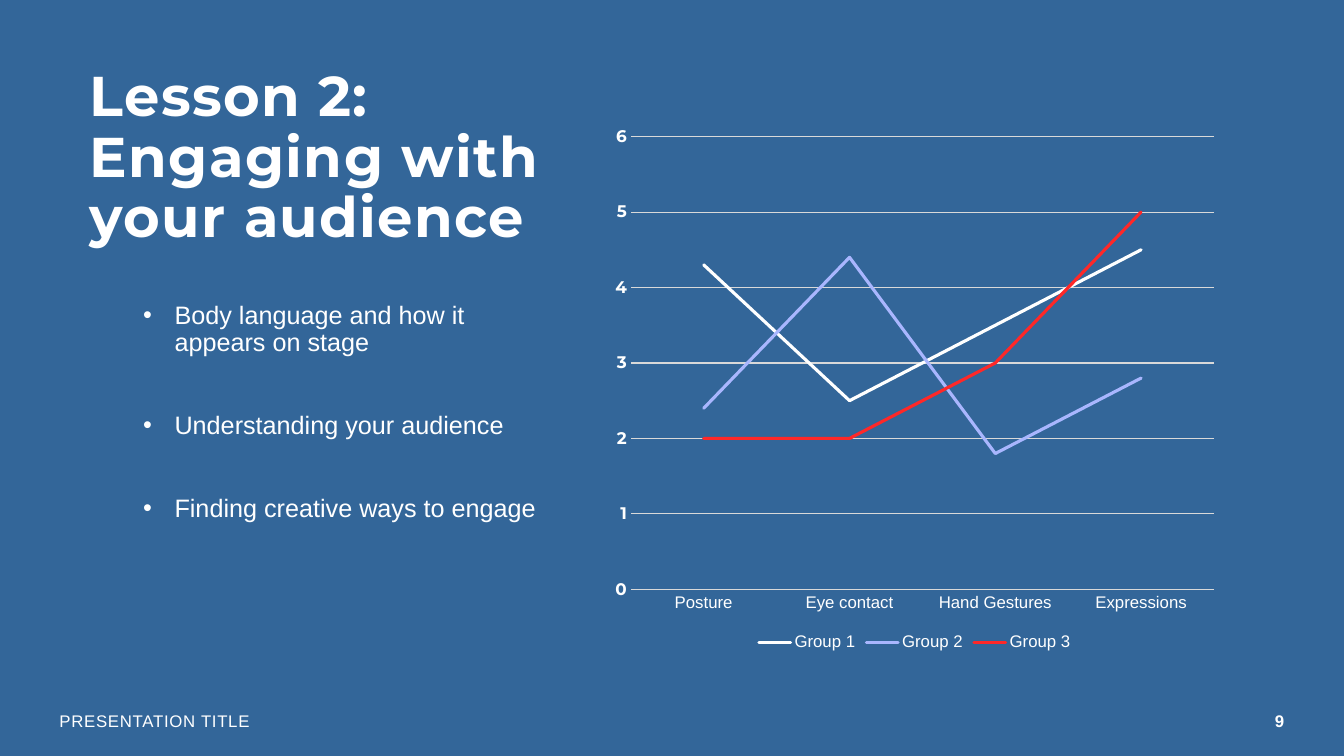
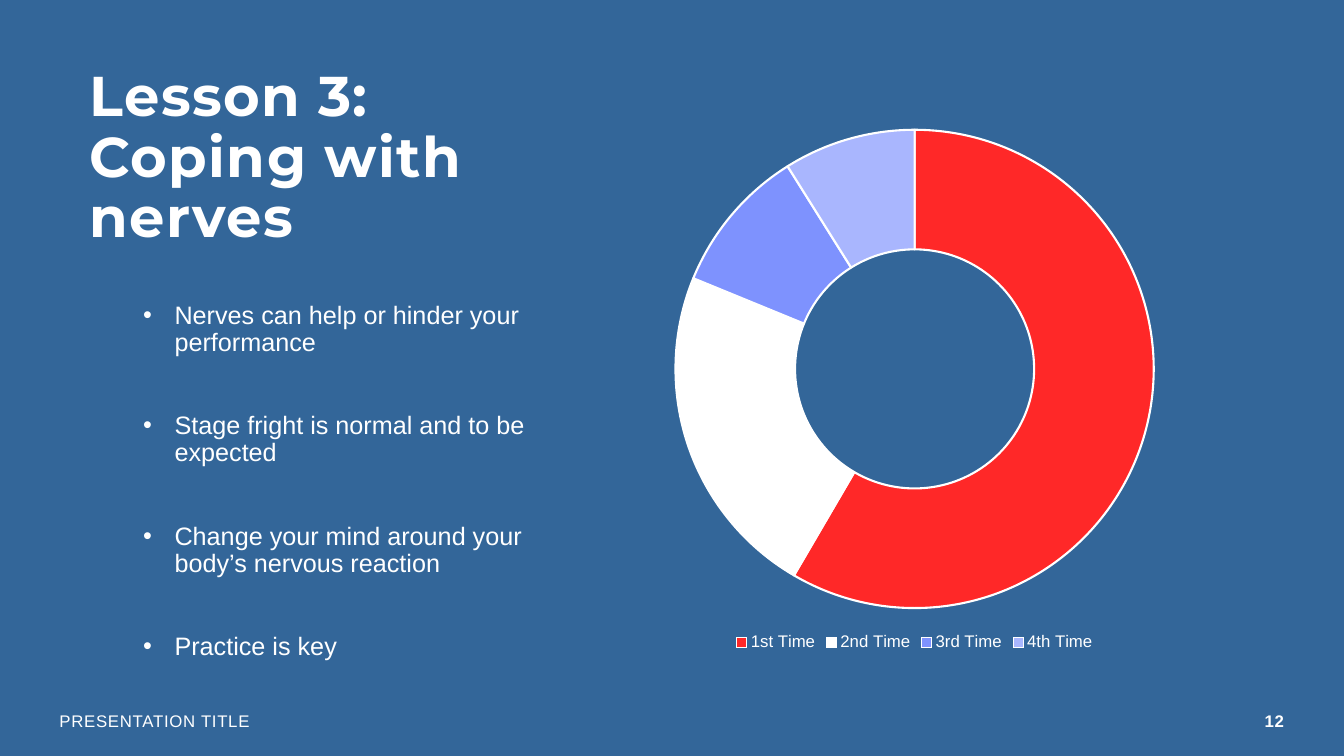
"""Build two lesson slides, each with a title, bullets, a chart and a footer."""
from lxml.etree import SubElement
from pptx import Presentation
from pptx.chart.data import CategoryChartData as ChartData
from pptx.dml.color import RGBColor
from pptx.enum.chart import XL_CHART_TYPE as ChartType
from pptx.enum.chart import XL_LEGEND_POSITION as LegendPosition
from pptx.enum.chart import XL_TICK_MARK as TickMark
from pptx.enum.text import MSO_ANCHOR as Anchor
from pptx.enum.text import PP_ALIGN as Align
from pptx.oxml.ns import qn
from pptx.util import Cm, Pt

BLUE, WHITE, GRID = "336699", "FFFFFF", "D9D9D9"
RED, VIOLET, LAVENDER = "FF2828", "7E92FE", "A9B6FE"

TITLE_FONT = {"name": "Montserrat", "size": Pt(40), "bold": True}
BODY_FONT = {"name": "Arial", "size": Pt(18), "bold": False}
FOOTER_FONT = {"name": "Arial", "size": Pt(12), "bold": False}
NUMBER_FONT = {**FOOTER_FONT, "bold": True}
VALUE_FONT = {"name": "Montserrat", "size": Pt(12), "bold": True}

TITLE_BOX = (2.26, 1.73, 12.32, 4.7)
BODY_BOX = (3.61, 7.62, 10.16, 8.86)
CHART_BOX = (15.19, 2.92, 15.72, 13.59)
FOOTER_BOX = (1.5, 17.65, 12.24, 1.02)
NUMBER_BOX = (24.74, 17.65, 7.62, 1.02)
BULLET_INDENT = Cm(0.79)


def rgb(code):
    """Turn a hex string into a colour."""
    return RGBColor.from_string(code)


def set_all(target, values):
    """Set each named attribute of the target."""
    for name, value in values.items():
        setattr(target, name, value)


def style_font(font, values):
    """Apply font values in white."""
    set_all(font, values)
    font.color.rgb = rgb(WHITE)


def style_line(line, color, width):
    """Give a line its colour and its width in points."""
    line.color.rgb = rgb(color)
    line.width = Pt(width)


def add_text(slide, box, lines, font, spacing=0, anchor=Anchor.TOP, **paragraph_format):
    """Add a text box without insets and return its paragraphs."""
    frame = slide.shapes.add_textbox(*map(Cm, box)).text_frame
    set_all(frame, {"margin_left": 0, "margin_top": 0, "margin_right": 0,
                    "margin_bottom": 0, "word_wrap": True, "vertical_anchor": anchor})
    frame.text = "\n".join(lines)
    for paragraph in frame.paragraphs:
        set_all(paragraph, paragraph_format)
        for run in paragraph.runs:
            style_font(run.font, font)
            run.font._element.set("spc", str(int(spacing * 100)))
    return frame.paragraphs


def add_title(slide, lesson, topic):
    """Add the lesson heading, with a line break before its topic."""
    add_text(slide, TITLE_BOX, [f"{lesson}\v{topic}"], TITLE_FONT, 1, line_spacing=0.9)


def add_bullets(slide, points):
    """Add the widely spaced bullet list."""
    paragraphs = add_text(slide, BODY_BOX, points, BODY_FONT,
                          line_spacing=0.9, space_before=Pt(40))
    paragraphs[0].space_before = Pt(0)
    for paragraph in paragraphs:
        properties = paragraph._p.get_or_add_pPr()
        properties.set("marL", str(BULLET_INDENT))
        properties.set("indent", str(-BULLET_INDENT))
        SubElement(properties, qn("a:buFont")).set("typeface", "Arial")
        SubElement(properties, qn("a:buChar")).set("char", "•")


def add_footer(slide, number):
    """Add the running title and the slide number."""
    add_text(slide, FOOTER_BOX, ["PRESENTATION TITLE"], FOOTER_FONT, 0.5, Anchor.MIDDLE)
    add_text(slide, NUMBER_BOX, [str(number)], NUMBER_FONT, 0.5, Anchor.MIDDLE,
             alignment=Align.RIGHT)


def add_chart(slide, kind, categories, series):
    """Add a chart with a legend below it and return the chart."""
    data = ChartData()
    data.categories = categories
    for name, values in series.items():
        data.add_series(name, values)
    chart = slide.shapes.add_chart(kind, *map(Cm, CHART_BOX), data).chart
    set_all(chart, {"has_title": False, "has_legend": True})
    set_all(chart.legend, {"position": LegendPosition.BOTTOM, "include_in_layout": False})
    style_font(chart.font, FOOTER_FONT)
    style_font(chart.legend.font, FOOTER_FONT)
    return chart


def add_line_chart(slide, categories, series, colors):
    """Add a line chart with horizontal grid lines."""
    chart = add_chart(slide, ChartType.LINE, categories, series)
    ticks = {"major_tick_mark": TickMark.NONE, "minor_tick_mark": TickMark.NONE}
    category_axis, value_axis = chart.category_axis, chart.value_axis
    set_all(category_axis, ticks)
    set_all(value_axis, {**ticks, "minimum_scale": 0, "maximum_scale": 6, "major_unit": 1})
    style_font(category_axis.tick_labels.font, FOOTER_FONT)
    style_font(value_axis.tick_labels.font, VALUE_FONT)
    style_line(category_axis.format.line, GRID, 0.75)
    style_line(value_axis.major_gridlines.format.line, GRID, 0.75)
    value_axis.format.line.fill.background()
    chart.plots[0].vary_by_categories = False
    for group, color in zip(chart.plots[0].series, colors):
        group.smooth = False
        style_line(group.format.line, color, 2.25)
        group.format.line._ln.set("cap", "rnd")


def add_doughnut(slide, categories, series, colors):
    """Add a doughnut chart with white edges between its slices."""
    plot = add_chart(slide, ChartType.DOUGHNUT, categories, series).plots[0]
    plot.vary_by_categories = True
    plot._element.find(qn("c:holeSize")).set("val", "60")
    for index, color in enumerate(colors):
        slice_format = plot.series[0].points[index].format
        slice_format.fill.solid()
        slice_format.fill.fore_color.rgb = rgb(color)
        style_line(slice_format.line, WHITE, 1.5)


def add_lesson(deck, number, lesson, topic, points):
    """Add a blue slide with the parts that every lesson has."""
    slide = deck.slides.add_slide(deck.slide_layouts[6])
    slide.background.fill.solid()
    slide.background.fill.fore_color.rgb = rgb(BLUE)
    add_title(slide, lesson, topic)
    add_bullets(slide, points)
    add_footer(slide, number)
    return slide


def main():
    """Build and save the presentation."""
    deck = Presentation()
    set_all(deck, {"slide_width": Cm(33.87), "slide_height": Cm(19.05)})

    engaging = add_lesson(deck, 9, "Lesson 2:", "Engaging with your audience", [
        "Body language and how it appears on stage",
        "Understanding your audience",
        "Finding creative ways to engage",
    ])
    add_line_chart(
        engaging,
        ["Posture", "Eye contact", "Hand Gestures", "Expressions"],
        {"Group 1": [4.3, 2.5, 3.5, 4.5],
         "Group 2": [2.4, 4.4, 1.8, 2.8],
         "Group 3": [2, 2, 3, 5]},
        [WHITE, LAVENDER, RED])

    coping = add_lesson(deck, 12, "Lesson 3:", "Coping with nerves", [
        "Nerves can help or hinder your performance",
        "Stage fright is normal and to be expected",
        "Change your mind around your body’s nervous reaction",
        "Practice is key",
    ])
    add_doughnut(
        coping,
        ["1st Time", "2nd Time", "3rd Time", "4th Time"],
        {"Series 1": [59, 23, 10, 9]},
        [RED, WHITE, VIOLET, LAVENDER])

    deck.save("out.pptx")


if __name__ == "__main__":
    main()
